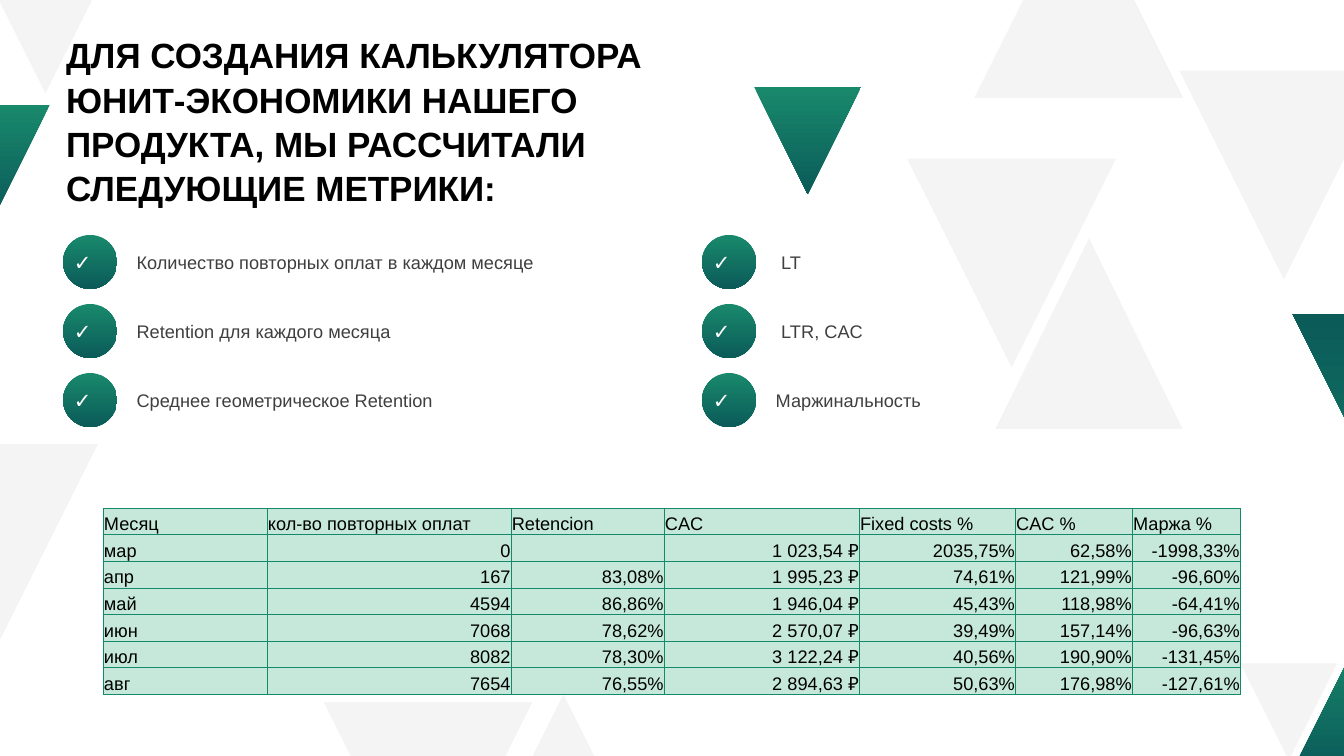
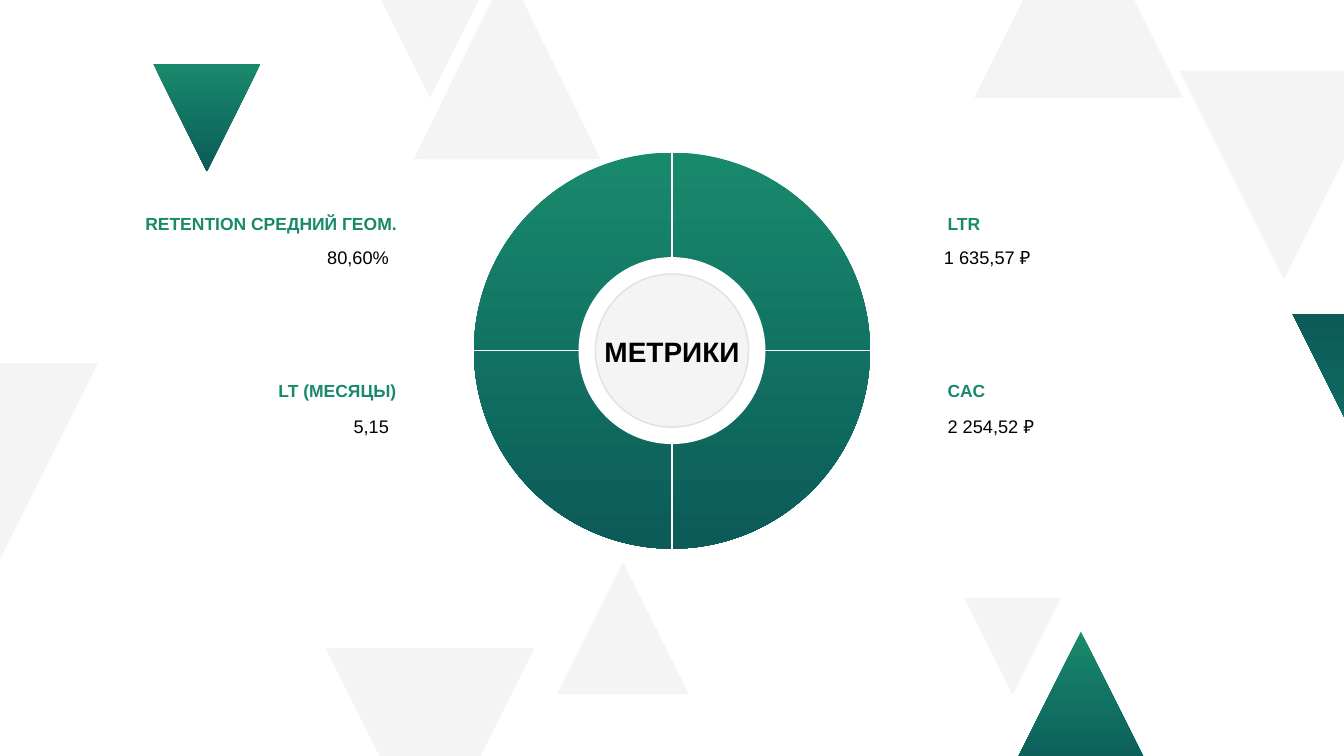
from dataclasses import dataclass
from enum import Enum

from lxml import etree
from pptx import Presentation
from pptx.dml.color import RGBColor
from pptx.enum import shapes, text
from pptx.oxml import ns
from pptx.util import Cm, Pt

GREEN = RGBColor(0x19, 0x89, 0x6C)
TEAL = RGBColor(0x0B, 0x5B, 0x59)
MINT = RGBColor(0xC5, 0xE8, 0xDA)
BORDER = RGBColor(0x16, 0x89, 0x6B)
PALE = RGBColor(0xF4, 0xF4, 0xF4)
RIM = RGBColor(0xE1, 0xE1, 0xE1)
GREY = RGBColor(0x3F, 0x3F, 0x3F)
BLACK = RGBColor(0, 0, 0)
WHITE = RGBColor(0xFF, 0xFF, 0xFF)
FONT = "Arial"
INSET = Cm(0.15)
LEFT, CENTER, RIGHT = text.PP_ALIGN.LEFT, text.PP_ALIGN.CENTER, text.PP_ALIGN.RIGHT
SLIDE_WIDTH, SLIDE_HEIGHT = 67.73, 38.1


class Aim(Enum):
    UP = 1
    DOWN = 2
    TURNED = 3


@dataclass(frozen=True)
class Kind:
    width: float
    height: float
    aim: Aim
    gradient: bool = False


@dataclass(frozen=True)
class Triangle:
    kind: Kind
    left: float
    top: float


@dataclass(frozen=True)
class Style:
    size: float
    color: RGBColor
    bold: bool = False
    align: text.PP_ALIGN = LEFT
    wrap: bool = True
    spacing: float = 1.0


@dataclass(frozen=True)
class Metric:
    heading: str
    value: str
    heading_left: float
    heading_width: float
    value_left: float
    top: float
    value_top: float
    align: text.PP_ALIGN


TALL = Kind(9.42, 9.6, Aim.UP)
PEAK = Kind(10.52, 10.52, Aim.UP)
WEDGE = Kind(10.52, 10.52, Aim.TURNED)
CHIP = Kind(4.88, 4.88, Aim.TURNED)
SPIKE = Kind(6.65, 6.65, Aim.UP)
GEM = Kind(5.41, 5.41, Aim.DOWN, True)
CORNER = Kind(6.98, 6.98, Aim.UP, True)
EDGE = Kind(15.57, 15.57, Aim.TURNED, True)

SHARED_TRIANGLES = [
    Triangle(WEDGE, 59.44, 3.56),
    Triangle(PEAK, 49.1, -5.59),
    Triangle(EDGE, 65.13, 15.8),
]
LIST_TRIANGLES = [
    Triangle(TALL, 50.17, 12.01),
    Triangle(GEM, 38, 4.37),
    Triangle(WEDGE, 45.72, 8),
    Triangle(WEDGE, 16.31, 35.38),
    Triangle(WEDGE, -5.59, 22.38),
    Triangle(CORNER, 65.13, 31.88),
    Triangle(CHIP, 62.51, 33.43),
    Triangle(SPIKE, 25.07, 35),
    Triangle(GEM, -2.9, 5.28),
    Triangle(WEDGE, -2.97, -5.82),
]
RING_TRIANGLES = [
    Triangle(TALL, 20.85, -1.57),
    Triangle(GEM, 7.72, 3.23),
    Triangle(WEDGE, 16.41, -5.59),
    Triangle(WEDGE, 16.41, 32.66),
    Triangle(WEDGE, -5.59, 18.31),
    Triangle(CORNER, 50.98, 31.83),
    Triangle(CHIP, 48.59, 30.12),
    Triangle(SPIKE, 28.07, 28.35),
]

TITLE = Style(50, BLACK, bold=True, spacing=1.05)
ITEM = Style(26, GREY)
TICK = Style(30, WHITE)
HUB = Style(40, BLACK, bold=True, align=CENTER, wrap=False)

CHECKLIST = [
    (3.18, [("Количество повторных оплат в каждом месяце", 6.73),
            ("Retention для каждого месяца", 6.73),
            ("Среднее геометрическое Retention", 6.73)]),
    (35.38, [("LT", 39.22), ("LTR, CAC", 39.22), ("Маржинальность", 38.94)]),
]
COLUMN_WIDTHS = [8.26, 12.29, 7.72, 9.83, 7.87, 5.89, 5.44]
ROW_HEIGHT = 1.34
MONTHS = [
    ("Месяц", "кол-во повторных оплат", "Retencion", "CAC", "Fixed costs %", "CAC %", "Маржа %"),
    ("мар", "0", "", "1 023,54 ₽", "2035,75%", "62,58%", "-1998,33%"),
    ("апр", "167", "83,08%", "1 995,23 ₽", "74,61%", "121,99%", "-96,60%"),
    ("май", "4594", "86,86%", "1 946,04 ₽", "45,43%", "118,98%", "-64,41%"),
    ("июн", "7068", "78,62%", "2 570,07 ₽", "39,49%", "157,14%", "-96,63%"),
    ("июл", "8082", "78,30%", "3 122,24 ₽", "40,56%", "190,90%", "-131,45%"),
    ("авг", "7654", "76,55%", "2 894,63 ₽", "50,63%", "176,98%", "-127,61%"),
]
METRICS = [
    Metric("LTR", "1 635,57 ₽", 47.6, 2.01, 47.42, 10.59, 12.24, LEFT),
    Metric("CAC", "2 254,52 ₽", 47.6, 2.21, 47.6, 19, 20.8, LEFT),
    Metric("RETENTION СРЕДНИЙ ГЕОМ.", "80,60% ", 7.06, 13.08, 6.07, 10.59, 12.24, RIGHT),
    Metric("LT (МЕСЯЦЫ)", "5,15 ", 13.77, 6.35, 6.07, 19, 20.8, RIGHT),
]
CENTER_X, CENTER_Y = SLIDE_WIDTH / 2, 17.67


def fill_gradient(shape) -> None:
    shape.fill.gradient()
    shape.fill.gradient_angle = 270
    for stop, color in zip(shape.fill.gradient_stops, (GREEN, TEAL)):
        stop.color.rgb = color


def paint(shape, color: RGBColor | None) -> None:
    shape.shadow.inherit = False
    shape.line.fill.background()
    if color is None:
        fill_gradient(shape)
    else:
        shape.fill.solid()
        shape.fill.fore_color.rgb = color


def write(frame, words: str, style: Style) -> None:
    frame.text = words
    para = frame.paragraphs[0]
    para.alignment = style.align
    para.line_spacing = style.spacing
    for span in para.runs:
        span.font.name = FONT
        span.font.size = Pt(style.size)
        span.font.bold = style.bold
        span.font.color.rgb = style.color


def set_insets(frame) -> None:
    frame.margin_left = frame.margin_right = INSET
    frame.margin_top = frame.margin_bottom = INSET
    frame.vertical_anchor = text.MSO_ANCHOR.MIDDLE


def add_text(page, words: str, left: float, top: float, width: float, height: float,
             style: Style) -> None:
    box = page.shapes.add_textbox(Cm(left), Cm(top), Cm(width), Cm(height))
    frame = box.text_frame
    set_insets(frame)
    frame.word_wrap = style.wrap
    frame.auto_size = text.MSO_AUTO_SIZE.SHAPE_TO_FIT_TEXT
    write(frame, words, style)


def add_triangle(page, triangle: Triangle) -> None:
    kind = triangle.kind
    right, bottom = triangle.left + kind.width, triangle.top + kind.height
    tip, base = triangle.top, bottom
    if kind.aim is Aim.DOWN:
        tip, base = base, tip
    builder = page.shapes.build_freeform(Cm(triangle.left + kind.width / 2), Cm(tip))
    builder.add_line_segments([(Cm(right), Cm(base)), (Cm(triangle.left), Cm(base))])
    shape = builder.convert_to_shape()
    if kind.aim is Aim.TURNED:
        shape.rotation = 180
    paint(shape, None if kind.gradient else PALE)


def add_triangles(page, triangles: list[Triangle]) -> None:
    for triangle in SHARED_TRIANGLES + triangles:
        add_triangle(page, triangle)


def add_disc(page, preset: shapes.MSO_SHAPE, diameter: float, color: RGBColor | None):
    disc = page.shapes.add_shape(preset, Cm(CENTER_X - diameter / 2),
                                 Cm(CENTER_Y - diameter / 2), Cm(diameter), Cm(diameter))
    paint(disc, color)
    return disc


def add_divider(page, x1: float, y1: float, x2: float, y2: float) -> None:
    line = page.shapes.add_connector(shapes.MSO_CONNECTOR.STRAIGHT,
                                     Cm(x1), Cm(y1), Cm(x2), Cm(y2))
    line.line.color.rgb = WHITE
    line.line.width = Pt(2)
    etree.SubElement(line._element.spPr, ns.qn("a:effectLst"))


def add_tick(page, left: float, top: float) -> None:
    badge = page.shapes.add_shape(shapes.MSO_SHAPE.OVAL, Cm(left), Cm(top), Cm(2.72), Cm(2.72))
    paint(badge, None)
    set_insets(badge.text_frame)
    write(badge.text_frame, "✓", TICK)


def add_borders(cell) -> None:
    properties = cell._tc.get_or_add_tcPr()
    for side in ("lnL", "lnR", "lnT", "lnB"):
        line = etree.SubElement(properties, ns.qn(f"a:{side}"), w=str(Pt(0.75)))
        solid = etree.SubElement(line, ns.qn("a:solidFill"))
        etree.SubElement(solid, ns.qn("a:srgbClr"), val=str(BORDER))


def add_month_table(page) -> None:
    frame = page.shapes.add_table(len(MONTHS), len(COLUMN_WIDTHS), Cm(5.21), Cm(25.6),
                                  Cm(sum(COLUMN_WIDTHS)), Cm(ROW_HEIGHT * len(MONTHS)))
    table = frame.table
    table.first_row = table.horz_banding = False
    for column, width in zip(table.columns, COLUMN_WIDTHS):
        column.width = Cm(width)
    for row_index, values in enumerate(MONTHS):
        table.rows[row_index].height = Cm(ROW_HEIGHT)
        for column_index, value in enumerate(values):
            cell = table.cell(row_index, column_index)
            add_borders(cell)
            cell.fill.solid()
            cell.fill.fore_color.rgb = MINT
            cell.margin_left = cell.margin_right = cell.margin_top = Cm(0.03)
            cell.margin_bottom = 0
            cell.vertical_anchor = text.MSO_ANCHOR.BOTTOM
            align = RIGHT if row_index and column_index else LEFT
            write(cell.text_frame, value, Style(26, BLACK, align=align))


def build_list_page(page) -> None:
    add_text(page, "ДЛЯ СОЗДАНИЯ КАЛЬКУЛЯТОРА ЮНИТ-ЭКОНОМИКИ НАШЕГО ПРОДУКТА, "
             "МЫ РАССЧИТАЛИ СЛЕДУЮЩИЕ МЕТРИКИ:", 3.18, 1.63, 30.73, 8.84, TITLE)
    add_triangles(page, LIST_TRIANGLES)
    for badge_left, items in CHECKLIST:
        for index, (words, left) in enumerate(items):
            top = 11.84 + 3.48 * index
            add_tick(page, badge_left, top)
            add_text(page, words, left, top + 0.66, 24.97, 1.4, ITEM)
    add_month_table(page)


def build_ring_page(page) -> None:
    add_triangles(page, RING_TRIANGLES)
    ring = add_disc(page, shapes.MSO_SHAPE.ROUNDED_RECTANGLE, 19.96, None)
    ring.adjustments[0] = 0.5
    add_divider(page, CENTER_X, 28.52, CENTER_X, 6.81)
    add_divider(page, 22.3, CENTER_Y, 45.44, CENTER_Y)
    for metric in METRICS:
        add_text(page, metric.heading, metric.heading_left, metric.top, metric.heading_width,
                 1.35, Style(25, GREEN, bold=True, align=metric.align, wrap=False))
        add_text(page, metric.value, metric.value_left, metric.value_top, 13.94, 1.4,
                 Style(26, BLACK, align=metric.align))
    add_disc(page, shapes.MSO_SHAPE.OVAL, 9.42, WHITE)
    hub = add_disc(page, shapes.MSO_SHAPE.OVAL, 7.72, PALE)
    hub.line.color.rgb = RIM
    hub.line.width = Pt(2)
    add_text(page, "МЕТРИКИ", CENTER_X - 3.58, 16.71, 7.16, 2.01, HUB)


def main() -> None:
    deck = Presentation()
    deck.slide_width, deck.slide_height = Cm(SLIDE_WIDTH), Cm(SLIDE_HEIGHT)
    for build in (build_list_page, build_ring_page):
        build(deck.slides.add_slide(deck.slide_layouts[6]))
    deck.save("out.pptx")


if __name__ == "__main__":
    main()
